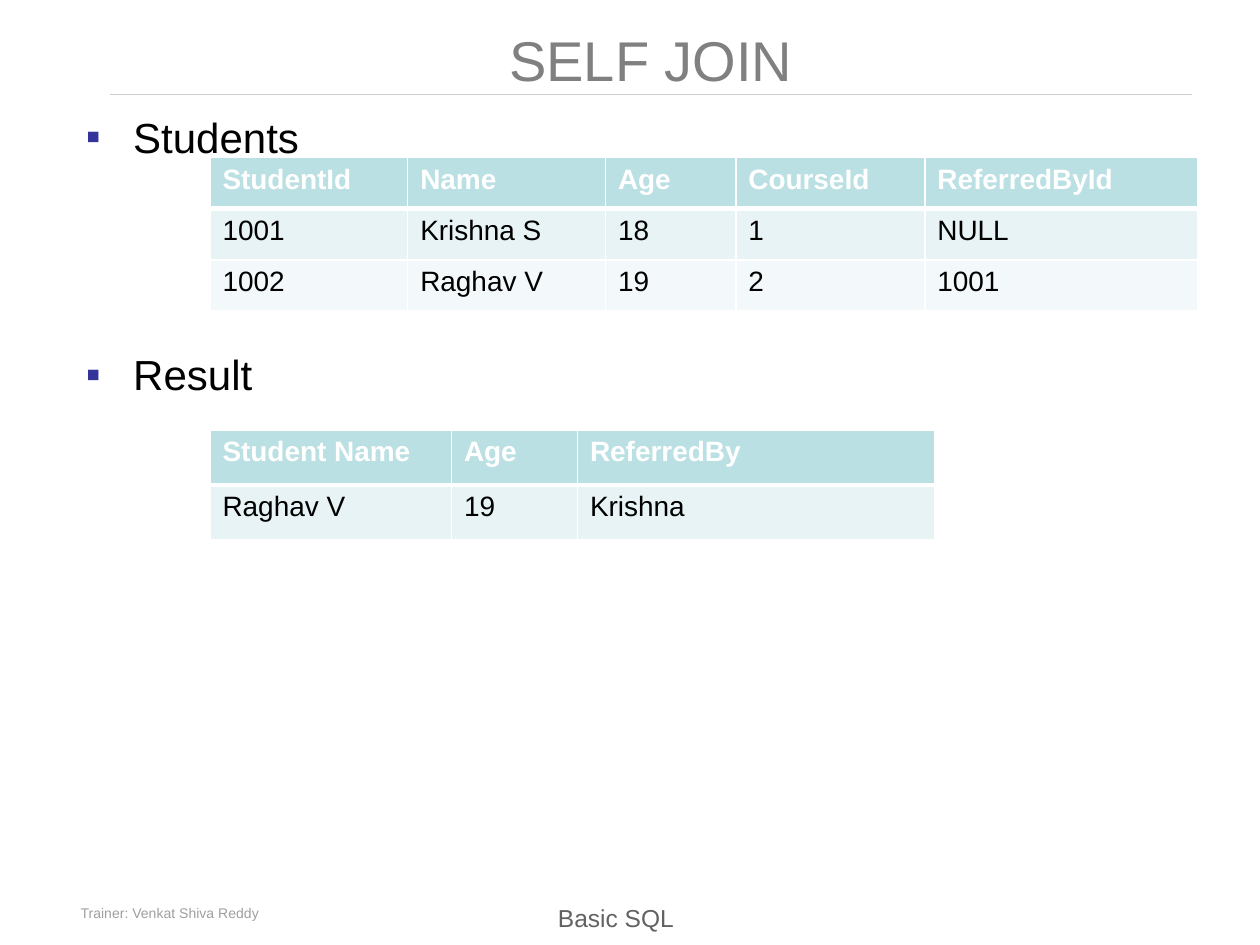
from dataclasses import dataclass

from lxml.etree import SubElement
from pptx import Presentation
from pptx.dml.color import RGBColor
from pptx.enum.shapes import MSO_CONNECTOR
from pptx.enum.text import MSO_ANCHOR, PP_ALIGN
from pptx.oxml.ns import qn
from pptx.util import Pt

COLORS = {
    "title": "808080",
    "rule": "CCCCCC",
    "footer": "626262",
    "trainer": "9F9F9F",
    "text": "000000",
    "bullet": "333399",
    "white": "FFFFFF",
    "header": "BBE0E3",
    "odd": "E7F3F4",
    "even": "F3F9FA",
}


@dataclass(frozen=True)
class TableSpec:
    left: float
    top: float
    widths: tuple[float, ...]
    row_height: float
    rows: tuple[tuple[str, ...], ...]


@dataclass(frozen=True)
class Footer:
    text: str
    box: tuple[float, float, float, float]
    size: float
    color: str
    align: PP_ALIGN


TABLES = (
    TableSpec(120, 90, (113, 113, 74.5, 108, 156), 29.25, (
        ("StudentId", "Name", "Age", "CourseId", "ReferredById"),
        ("1001", "Krishna S", "18", "1", "NULL"),
        ("1002", "Raghav V", "19", "2", "1001"),
    )),
    TableSpec(120, 246, (138, 72, 204), 31.2, (
        ("Student Name", "Age", "ReferredBy"),
        ("Raghav V", "19", "Krishna"),
    )),
)

FOOTERS = (
    Footer("Basic SQL", (254, 510, 196, 25), 14, "footer", PP_ALIGN.CENTER),
    Footer("Trainer: Venkat Shiva Reddy", (39, 512, 177, 18), 8, "trainer", PP_ALIGN.LEFT),
)

# Heading text and the space before it
HEADINGS = (("Students", 3), ("Result", 106.7))


def rgb(name: str) -> RGBColor:
    return RGBColor.from_string(COLORS[name])


def write(p, text: str, *, size: float, color: str = "text", bold: bool = False,
          align: PP_ALIGN = PP_ALIGN.LEFT) -> None:
    p.alignment = align
    r = p.add_run()
    r.text = text
    r.font.name = "Arial"
    r.font.size = Pt(size)
    r.font.bold = bold
    r.font.color.rgb = rgb(color)


def add_box(s, left: float, top: float, width: float, height: float):
    tf = s.shapes.add_textbox(Pt(left), Pt(top), Pt(width), Pt(height)).text_frame
    tf.word_wrap = True
    return tf


def add_title(s, text: str) -> None:
    sp = s.shapes.title
    sp.left, sp.top, sp.width, sp.height = Pt(42), Pt(11.5), Pt(660), Pt(44)
    tf = sp.text_frame
    tf.vertical_anchor = MSO_ANCHOR.MIDDLE
    write(tf.paragraphs[0], text, size=32, color="title", align=PP_ALIGN.CENTER)


def add_rule(s) -> None:
    line = s.shapes.add_connector(MSO_CONNECTOR.STRAIGHT, Pt(63), Pt(54), Pt(681), Pt(54))
    line.line.color.rgb = rgb("rule")
    line.line.width = Pt(1)
    SubElement(line._element.spPr, qn("a:effectLst"))


def add_footer(s, footer: Footer) -> None:
    p = add_box(s, *footer.box).paragraphs[0]
    p.line_spacing = 1.15
    write(p, footer.text, size=footer.size, color=footer.color, align=footer.align)


def set_bullet(p, indent: float) -> None:
    pPr = p._p.get_or_add_pPr()
    pPr.set("marL", str(Pt(indent)))
    pPr.set("indent", str(-Pt(indent)))
    color = SubElement(pPr, qn("a:buClr"))
    SubElement(color, qn("a:srgbClr"), val=COLORS["bullet"])
    SubElement(pPr, qn("a:buFont"), typeface="Arial")
    SubElement(pPr, qn("a:buChar"), char="▪")


def add_headings(s) -> None:
    tf = add_box(s, 42, 60, 660, 450)
    for i, (text, gap) in enumerate(HEADINGS):
        p = tf.add_paragraph() if i else tf.paragraphs[0]
        p.space_before = Pt(gap)
        set_bullet(p, 27)
        write(p, text, size=24, align=PP_ALIGN.JUSTIFY)


def set_borders(cell, top: float, bottom: float) -> None:
    """Draw white borders; call before the fill is set, as the schema wants."""
    tcPr = cell._tc.get_or_add_tcPr()
    for side, width in (("L", 1), ("R", 1), ("T", top), ("B", bottom)):
        ln = SubElement(tcPr, qn(f"a:ln{side}"), w=str(Pt(width)))
        fill = SubElement(ln, qn("a:solidFill"))
        SubElement(fill, qn("a:srgbClr"), val=COLORS["white"])


def add_data_table(s, spec: TableSpec) -> None:
    n = len(spec.rows)
    table = s.shapes.add_table(n, len(spec.widths), Pt(spec.left), Pt(spec.top),
                               Pt(sum(spec.widths)), Pt(n * spec.row_height)).table
    for column, width in zip(table.columns, spec.widths):
        column.width = Pt(width)
    for i, values in enumerate(spec.rows):
        table.rows[i].height = Pt(spec.row_height)
        header = i == 0
        fill = "header" if header else ("even", "odd")[i % 2]
        for j, value in enumerate(values):
            cell = table.cell(i, j)
            set_borders(cell, top=3 if i == 1 else 1, bottom=3 if header else 1)
            cell.fill.solid()
            cell.fill.fore_color.rgb = rgb(fill)
            write(cell.text_frame.paragraphs[0], value, size=16, bold=header,
                  color="white" if header else "text")


def main() -> None:
    prs = Presentation()
    prs.slide_width, prs.slide_height = Pt(720), Pt(540)
    s = prs.slides.add_slide(prs.slide_layouts[5])
    for footer in FOOTERS:
        add_footer(s, footer)
    add_rule(s)
    add_title(s, "SELF JOIN")
    add_headings(s)
    for spec in TABLES:
        add_data_table(s, spec)
    prs.save("out.pptx")


if __name__ == "__main__":
    main()
